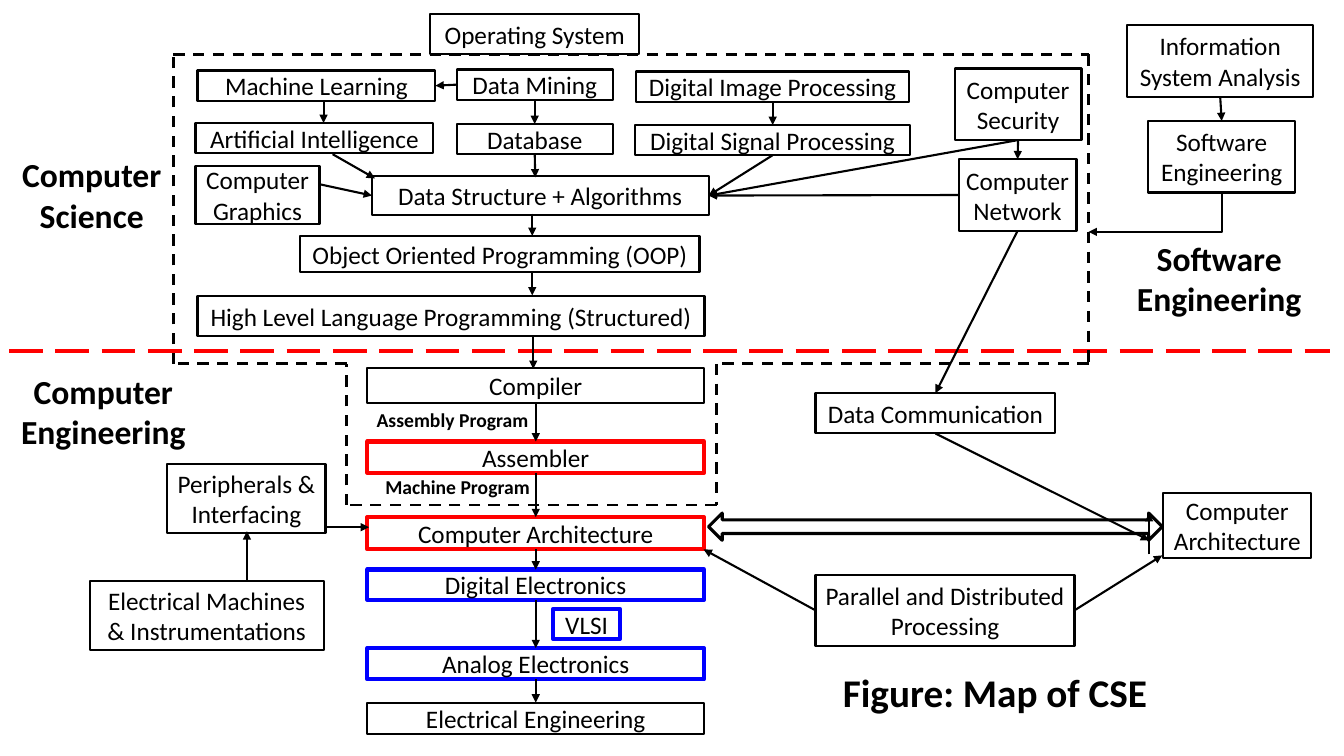
from itertools import pairwise

from lxml import etree
from pptx import Presentation
from pptx import util as u
from pptx.dml.color import RGBColor
from pptx.enum import dml, shapes, text
from pptx.oxml import ns

# Grid: one column and one row are a tenth of an inch
CELL = u.Inches(0.1)
COLUMNS, ROWS = 133.33, 75

BLACK = RGBColor(0x00, 0x00, 0x00)
WHITE = RGBColor(0xFF, 0xFF, 0xFF)
RED = RGBColor(0xFF, 0x00, 0x00)
BLUE = RGBColor(0x00, 0x00, 0xFF)
FONT = "Calibri"

TOP, LEFT, BOTTOM, RIGHT = range(4)

# Subject boxes: key -> (text, column, row, columns wide, rows high, format)
SUBJECTS = {
    "structured": ("High Level Language Programming (Structured)", 19.6, 29.4, 50.3, 3.9, {}),
    "oop": ("Object Oriented Programming (OOP)", 29.8, 23.4, 39.6, 3.6, {}),
    "algorithms": ("Data Structure + Algorithms", 36.9, 17.5, 33.4, 3.8, {}),
    "ai": ("Artificial Intelligence", 19.4, 12.2, 23.6, 3, {}),
    "learning": ("Machine Learning", 19.6, 7, 23.6, 3, {}),
    "mining": ("Data Mining", 45.3, 6.9, 15.5, 3, {}),
    "database": ("Database", 45.3, 12.3, 15.5, 3, {}),
    "image": ("Digital Image Processing", 63.1, 7.1, 27.1, 3, {}),
    "signal": ("Digital Signal Processing", 63, 12.4, 27.3, 3, {}),
    "graphics": ("Computer Graphics", 19.4, 16.5, 12.3, 5.7, {}),
    "os": ("Operating System", 42.7, 1.4, 20.7, 4, {"fill": WHITE}),
    "security": ("Computer Security", 94.7, 6.8, 12.6, 7.1, {"fill": WHITE}),
    "network": ("Computer Network", 95.1, 15.8, 11.7, 7.1, {"fill": WHITE, "inset": 0.5}),
    "analysis": ("Information System Analysis", 111.8, 2.5, 18.5, 7.1, {"fill": WHITE}),
    "software": ("Software Engineering", 113.9, 12, 14.6, 7.1, {"fill": WHITE}),
    "communication": ("Data Communication", 80.9, 39, 23.8, 4, {"fill": WHITE}),
    "parallel": ("Parallel and Distributed Processing", 80.9, 57, 25.7, 7.1,
                 {"fill": WHITE, "inset": 0.5}),
    "processor": ("Computer Architecture", 115.4, 48.9, 14.7, 6.5, {}),
    "peripherals": ("Peripherals & Interfacing", 16.6, 46, 15.7, 6.9, {}),
    "machines": ("Electrical Machines & Instrumentations", 8.9, 57.6, 23.2, 6.9, {}),
    "vlsi": ("VLSI", 54.9, 60.4, 6.6, 3, {"color": BLUE, "weight": 3}),
}

# Central stack, all in one column: text, row, rows high, line colour, line weight
STACK = [
    ("Compiler", 36.5, 3.5, BLACK, 1.5),
    ("Assembler", 43.8, 3.1, RED, 3),
    ("Computer Architecture", 51.3, 3.2, RED, 3),
    ("Digital Electronics", 56.5, 3, BLUE, 3),
    ("Analog Electronics", 64.3, 3.1, BLUE, 3),
    ("Electrical Engineering", 69.7, 3.1, BLACK, 1.5),
]

# Arrows: each end is a grid point or a (subject, side) pair
ARROWS = [
    (("mining", LEFT), ("learning", RIGHT)),
    ((32.1, 10), (32.1, 12.2)),
    ((33, 15.3), (37.2, 17.7)),
    (("mining", BOTTOM), ("database", TOP)),
    (("database", BOTTOM), (53.1, 17.6)),
    (("image", BOTTOM), ("signal", TOP)),
    (("signal", BOTTOM), ("algorithms", RIGHT)),
    ((31.8, 18.3), ("algorithms", LEFT)),
    (("security", BOTTOM), ("network", TOP)),
    (("security", BOTTOM), ("algorithms", RIGHT)),
    (("network", LEFT), ("algorithms", RIGHT)),
    (("network", BOTTOM), ("communication", TOP)),
    (("communication", BOTTOM), (114, 53.6)),
    ((114, 55), (114, 50.9)),
    (("analysis", BOTTOM), ("software", TOP)),
    (("parallel", LEFT), (69.8, 54.5)),
    (("parallel", RIGHT), (115.3, 55.1)),
    ((52.8, 21.2), (52.8, 23.4)),
    ((52.8, 27.1), (52.8, 29.3)),
    ((52.9, 33.3), (52.9, 36.6)),
    ((32.3, 52.3), (36.6, 52.3)),
    ((24.5, 57.6), (24.5, 52.7)),
]

# Outline of the computer science area
BOUNDARY = [(17.2, 5.4), (108, 5.4), (108, 36.1), (71.1, 36.1), (71.1, 50.1),
            (34.4, 50.1), (34.4, 36.1), (17.2, 36.1), (17.2, 5.4)]

# Free labels: text, column, row, columns wide, rows high, size
LABELS = [
    ("Computer\nScience", 1, 15, 16.2, 8.6, 24),
    ("Computer\nEngineering", 0.8, 36.7, 18.9, 8.2, 24),
    ("Software Engineering", 111.5, 23.3, 18.9, 8.6, 24),
    ("Assembly Program", 36.3, 39.9, 17.2, 3.4, 14),
    ("Machine Program", 32.4, 46.6, 26, 3.4, 14),
]


def grid(*cells):
    return [u.Emu(round(cell * CELL)) for cell in cells]


def write_text(shape, content, size=18, bold=False, inset=1, spacing=1):
    frame = shape.text_frame
    frame.word_wrap = True
    frame.vertical_anchor = text.MSO_ANCHOR.MIDDLE
    frame.margin_left, frame.margin_right = grid(inset, inset)
    frame.text = content
    for paragraph in frame.paragraphs:
        paragraph.alignment = text.PP_ALIGN.CENTER
        paragraph.line_spacing = spacing
        for run in paragraph.runs:
            run.font.name = FONT
            run.font.size = u.Pt(size)
            run.font.bold = bold
            run.font.color.rgb = BLACK


def add_outline(slide, preset, area, fill=None, color=BLACK, weight=1.5):
    shape = slide.shapes.add_shape(preset, *grid(*area))
    shape.shadow.inherit = False
    if fill is None:
        shape.fill.background()
    else:
        shape.fill.solid()
        shape.fill.fore_color.rgb = fill
    shape.line.color.rgb = color
    shape.line.width = u.Pt(weight)
    return shape


def add_box(slide, content, *area, inset=1, **outline):
    shape = add_outline(slide, shapes.MSO_SHAPE.RECTANGLE, area, **outline)
    write_text(shape, content, inset=inset)
    return shape


def add_label(slide, content, *area, **style):
    label = slide.shapes.add_textbox(*grid(*area))
    write_text(label, content, **style)
    return label


def add_line(slide, start, end, color=BLACK, weight=1.5, dash=None, arrow=False):
    line = slide.shapes.add_connector(shapes.MSO_CONNECTOR.STRAIGHT, *grid(*start, *end))
    line.line.color.rgb = color
    line.line.width = u.Pt(weight)
    if dash is not None:
        line.line.dash_style = dash
    if arrow:
        etree.SubElement(line.line._get_or_add_ln(), ns.qn("a:tailEnd"), type="triangle")
    etree.SubElement(line._element.spPr, ns.qn("a:effectLst"))
    return line


def add_arrow(slide, boxes, start, end):
    joined = [isinstance(point[0], str) for point in (start, end)]
    line = add_line(slide, (0, 0) if joined[0] else start,
                    (0, 0) if joined[1] else end, arrow=True)
    if joined[0]:
        line.begin_connect(boxes[start[0]], start[1])
    if joined[1]:
        line.end_connect(boxes[end[0]], end[1])


def add_bent_arrow(slide, box, start, end):
    """Arrow that leaves the bottom of a box, then turns left."""
    line = add_line(slide, start, end, arrow=True)
    line.begin_connect(box, BOTTOM)
    across, down = start[0] - end[0], end[1] - start[1]
    middle_x, middle_y = (start[0] + end[0]) / 2, (start[1] + end[1]) / 2
    line.left, line.top, line.width, line.height = grid(
        middle_x - down / 2, middle_y - across / 2, down, across)
    properties = line._element.spPr
    properties.find(ns.qn("a:prstGeom")).set("prst", "bentConnector2")
    transform = properties.find(ns.qn("a:xfrm"))
    transform.attrib.pop("flipH", None)
    transform.set("rot", str(90 * 60000))


def add_text_shadow(label):
    properties = label.text_frame.paragraphs[0].runs[0].font._element
    effects = etree.Element(ns.qn("a:effectLst"))
    shadow = etree.SubElement(effects, ns.qn("a:outerShdw"),
                              blurRad="38100", dist="38100", dir="2700000")
    color = etree.SubElement(shadow, ns.qn("a:srgbClr"), val="000000")
    etree.SubElement(color, ns.qn("a:alpha"), val="43000")
    properties.find(ns.qn("a:solidFill")).addnext(effects)


def main():
    presentation = Presentation()
    presentation.slide_width, presentation.slide_height = grid(COLUMNS, ROWS)
    slide = presentation.slides.add_slide(presentation.slide_layouts[6])

    # Areas and their names
    dashes = dml.MSO_LINE
    add_line(slide, (0.9, 34.8), (131.9, 34.8), color=RED, weight=3, dash=dashes.LONG_DASH)
    for start, end in pairwise(BOUNDARY):
        add_line(slide, start, end, weight=2, dash=dashes.DASH)
    for content, *area, size in LABELS:
        add_label(slide, content, *area, size=size, bold=True)

    # Subjects
    boxes = {key: add_box(slide, content, *area, **style)
             for key, (content, *area, style) in SUBJECTS.items()}
    layers = [add_box(slide, content, 36.45, row, 33.4, height, color=color, weight=weight)
              for content, row, height, color, weight in STACK]

    # Links
    for upper, lower in pairwise(layers):
        line = add_line(slide, (0, 0), (0, 0), arrow=True)
        line.begin_connect(upper, BOTTOM)
        line.end_connect(lower, TOP)
    for start, end in ARROWS:
        add_arrow(slide, boxes, start, end)
    add_bent_arrow(slide, boxes["software"], (121.2, 19.1), (108, 23))
    add_outline(slide, shapes.MSO_SHAPE.LEFT_RIGHT_ARROW, (70.3, 50.9, 45, 2.7), weight=2.25)

    # Title
    title = add_label(slide, "Figure: Map of CSE", 80.6, 65.7, 36.2, 6.5,
                      size=28, bold=True, spacing=0.9)
    add_text_shadow(title)
    presentation.save("out.pptx")


if __name__ == "__main__":
    main()
